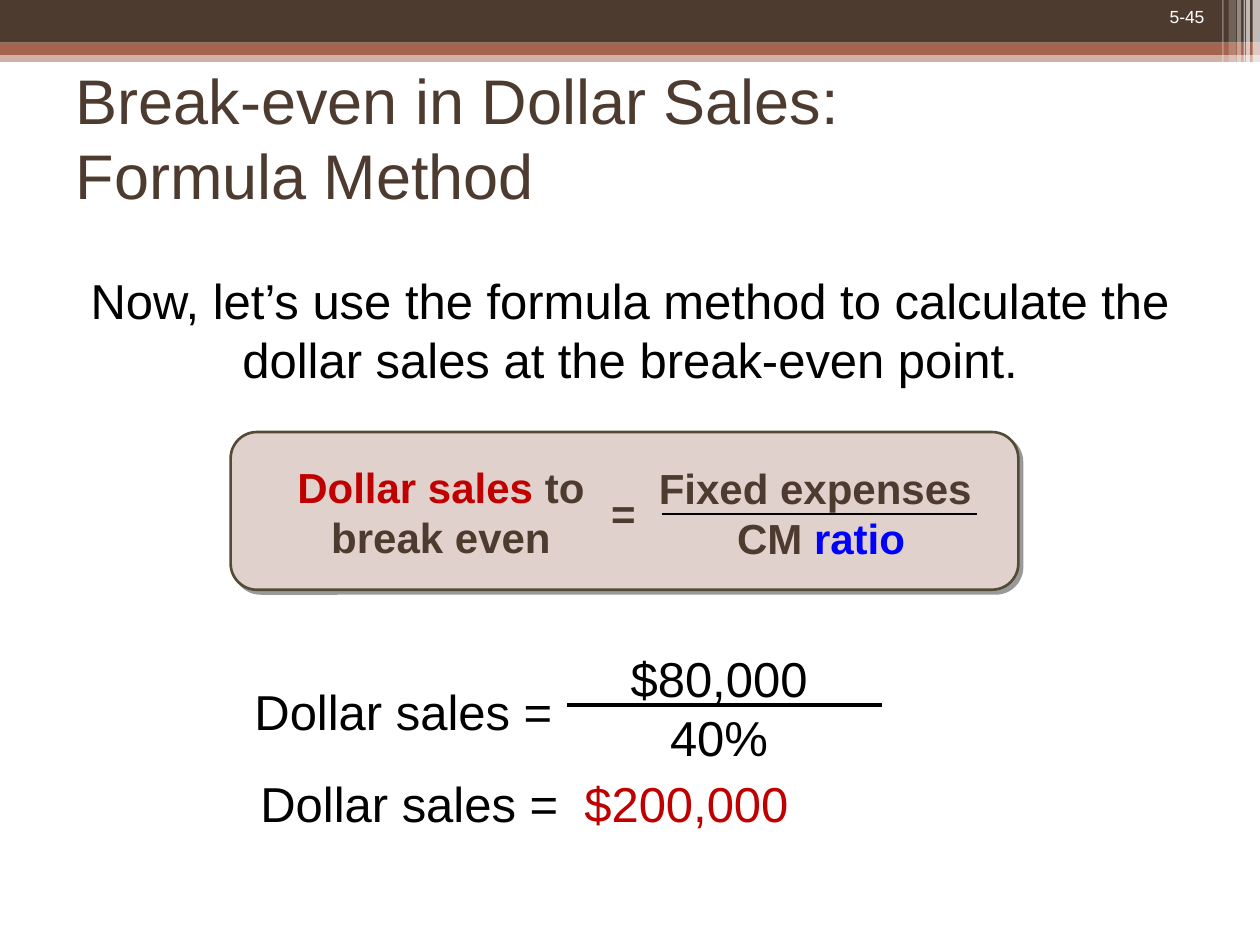
from lxml.etree import SubElement
from pptx import Presentation
from pptx.dml.color import RGBColor
from pptx.enum.shapes import MSO_CONNECTOR, MSO_SHAPE
from pptx.enum.text import MSO_ANCHOR, PP_ALIGN
from pptx.oxml.ns import qn
from pptx.util import Cm, Pt

HUES = {
    "brown": "4E3B30", "rust": "A5644E", "white": "FFFFFF", "black": "000000",
    "red": "C00000", "blue": "0000FF", "rose": "E1D1CC", "edge": "534B38",
}
FONT = "Arial"


def tint(hue):
    """Return the named colour."""
    return RGBColor.from_string(HUES[hue])


def fade(color, alpha):
    """Give a colour element an opacity in percent."""
    SubElement(color, qn("a:alpha"), val=str(alpha * 1000))


def block(slide, place, hue, alpha=100, kind=MSO_SHAPE.RECTANGLE):
    """Add a filled shape without outline."""
    shape = slide.shapes.add_shape(kind, *map(Cm, place))
    shape.shadow.inherit = False
    shape.fill.solid()
    shape.fill.fore_color.rgb = tint(hue)
    shape.line.fill.background()
    if alpha < 100:
        fade(shape._element.spPr.find(qn("a:solidFill"))[0], alpha)
    return shape


def rule(slide, left, top, width, weight):
    """Add a level black line."""
    line = slide.shapes.add_connector(
        MSO_CONNECTOR.STRAIGHT, Cm(left), Cm(top), Cm(left + width), Cm(top))
    line.line.color.rgb = tint("black")
    line.line.width = Pt(weight)
    SubElement(line._element.spPr, qn("a:effectLst"))


def style(font, size, hue, bold=False):
    """Format a font."""
    font.name, font.size, font.bold = FONT, Pt(size), bold
    font.color.rgb = tint(hue)


def label(slide, place, rows, size, align=PP_ALIGN.CENTER, bold=False, wrap=True):
    """Add a text box whose rows are lists of text and colour pairs."""
    box = slide.shapes.add_textbox(*map(Cm, place))
    frame = box.text_frame
    frame.word_wrap = wrap
    for i, row in enumerate(rows):
        para = frame.paragraphs[0] if i == 0 else frame.add_paragraph()
        para.alignment = align
        for text, hue in row:
            run = para.add_run()
            run.text = text
            style(run.font, size, hue, bold)
    return box


def banner(slide):
    """Draw the top bands, the stripes and the page number."""
    block(slide, (0, 1.02, 25.4, 0.23), "rust", 50)
    block(slide, (0, 0, 25.4, 0.86), "brown")
    block(slide, (0, 0.86, 25.4, 0.25), "rust")
    for place in ((15.01, 1.37, 8.51, 0.08), (20.47, 1.63, 4.45, 0.1)):
        block(slide, place, "white", kind=MSO_SHAPE.ROUNDED_RECTANGLE)
    stripes = ((25.25, 0.15, 1.73, 65), (25.12, 0.08, 1.73, 65),
               (25.07, 0.03, 1.73, 60), (24.94, 0.08, 1.73, 40),
               (24.77, 0.15, 1.63, 20), (24.64, 0.03, 1.63, 30))
    for left, width, height, alpha in stripes:
        block(slide, (left, 0, width, height), "white", alpha)
    label(slide, (21.79, 0, 2.74, 0.69), [[("5-45", "white")]], 10, PP_ALIGN.RIGHT)


def head(slide, text):
    """Place and format the title."""
    title = slide.shapes.title
    title.left, title.top, title.width, title.height = map(Cm, (1.27, 1.27, 22.86, 2.97))
    frame = title.text_frame
    frame.text = text
    frame.vertical_anchor = MSO_ANCHOR.MIDDLE
    para = frame.paragraphs[0]
    para.alignment = PP_ALIGN.LEFT
    for run in para.runs:
        style(run.font, 36, "brown")


def card(slide):
    """Draw the rounded panel with its hard shadow."""
    panel = block(slide, (4.65, 8.71, 15.88, 3.18), "rose",
                  kind=MSO_SHAPE.ROUNDED_RECTANGLE)
    panel.line.color.rgb = tint("edge")
    panel.line.width = Pt(1.5)
    effect = panel._element.spPr.find(qn("a:effectLst"))
    shadow = SubElement(effect, qn("a:outerShdw"), blurRad="0", dist=str(Pt(3)),
                        dir="2700000", algn="tl", rotWithShape="0")
    fade(SubElement(shadow, qn("a:srgbClr"), val=HUES["black"]), 40)


def formula(slide):
    """Write the break-even formula on its panel."""
    card(slide)
    label(slide, (13.03, 9.19, 6.81, 2.29),
          [[("Fixed expenses", "brown")], [(" CM ", "brown"), ("ratio", "blue")]],
          24, bold=True, wrap=False)
    label(slide, (12.07, 9.7, 0.99, 1.27), [[("=", "brown")]], 24, bold=True, wrap=False)
    label(slide, (5.74, 9.17, 6.3, 2.29),
          [[("Dollar sales ", "red"), ("to", "brown")], [("break even", "brown")]],
          24, bold=True, wrap=False)
    rule(slide, 13.34, 10.36, 6.35, 0.75)


def answer(slide):
    """Write the worked figures."""
    total = label(slide, (5, 15.47, 11.18, 1.45),
                  [[("Dollar sales =\t", "black"), ("$200,000", "red")]],
                  28, PP_ALIGN.LEFT, wrap=False)
    tabs = SubElement(total.text_frame.paragraphs[0]._p.get_or_add_pPr(), qn("a:tabLst"))
    SubElement(tabs, qn("a:tab"), pos=str(Cm(6.53)), algn="l")
    label(slide, (9.73, 12.95, 9.53, 2.64), [[("$80,000", "black")], [("40%", "black")]], 28)
    label(slide, (4.88, 13.61, 7.95, 1.45), [[("Dollar sales =", "black")]], 28, PP_ALIGN.LEFT)
    rule(slide, 11.43, 14.22, 6.35, 2.25)


def main():
    """Build the slide and save it."""
    deck = Presentation()
    deck.slide_width, deck.slide_height = Cm(25.4), Cm(19.05)
    slide = deck.slides.add_slide(deck.slide_layouts[5])
    banner(slide)
    head(slide, "Break-even in Dollar Sales:\vFormula Method")
    label(slide, (1.27, 5.33, 22.86, 2.64),
          [[("Now, let’s use the formula method to calculate the dollar sales "
             "at the break-even point.", "black")]], 28)
    formula(slide)
    answer(slide)
    deck.save("out.pptx")


if __name__ == "__main__":
    main()
